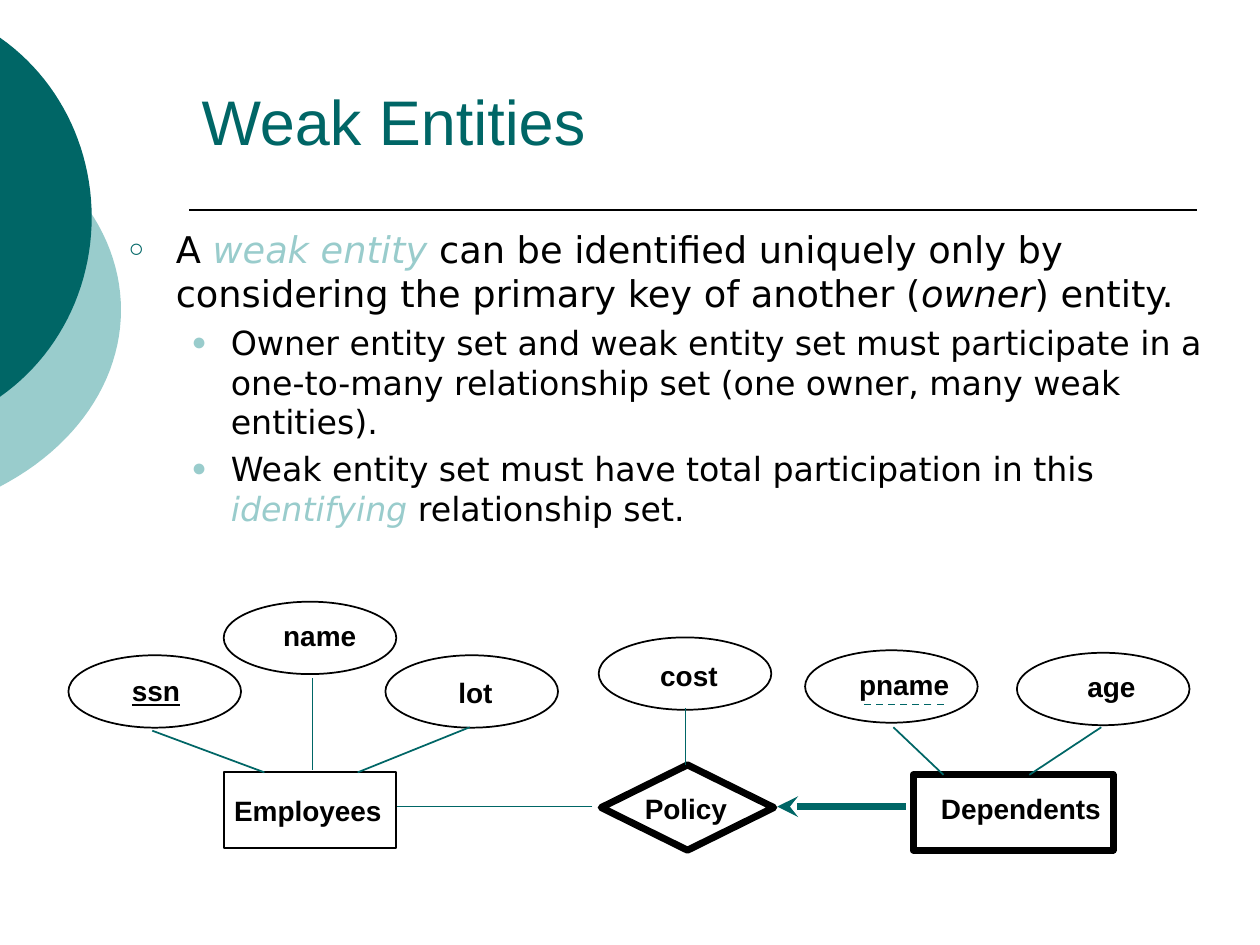
from lxml.etree import SubElement
from pptx import Presentation
from pptx.dml.color import RGBColor
from pptx.enum.dml import MSO_LINE
from pptx.enum.shapes import MSO_CONNECTOR, MSO_SHAPE
from pptx.enum.text import MSO_ANCHOR, MSO_AUTO_SIZE, PP_ALIGN
from pptx.oxml.ns import qn
from pptx.util import Cm, Pt

TEAL = RGBColor(0x00, 0x66, 0x66)
PALE = RGBColor(0x99, 0xCC, 0xCC)
BLACK = RGBColor(0x00, 0x00, 0x00)

OVAL, RECT, DIAMOND = MSO_SHAPE.OVAL, MSO_SHAPE.RECTANGLE, MSO_SHAPE.DIAMOND
OVAL_SIZE = (3.48, 1.46)

NODES = {
    "ssn": (OVAL, 0, 1.08, OVAL_SIZE, 1, 1.03, 0.25, 1.47),
    "name": (OVAL, 3.13, 0, OVAL_SIZE, 1, 0.95, 0.21, 1.98),
    "lot": (OVAL, 6.39, 1.08, OVAL_SIZE, 1, 1.22, 0.28, 1.19),
    "cost": (OVAL, 10.69, 0.72, OVAL_SIZE, 1, 0.99, 0.31, 1.65),
    "pname": (OVAL, 14.85, 0.98, OVAL_SIZE, 1, 0.84, 0.23, 2.31),
    "age": (OVAL, 19.12, 1.03, OVAL_SIZE, 1, 1.17, 0.21, 1.47),
    "Employees": (RECT, 3.13, 3.44, (3.48, 1.52), 1, -0.04, 0.31, 3.48),
    "Policy": (DIAMOND, 10.74, 3.29, (3.48, 1.72), 4, 0.63, 0.42, 2.16),
    "Dependents": (RECT, 17.03, 3.49, (4.03, 1.52), 4, 0.31, 0.22, 3.73),
}
LINKS = [
    (4.92, 1.54, 4.92, 3.39),
    (1.69, 2.6, 3.95, 3.44),
    (8.09, 2.53, 5.83, 3.44),
    (12.44, 3.29, 12.44, 2.14),
    (16.63, 2.53, 17.64, 3.49),
    (20.82, 2.53, 19.37, 3.49),
    (10.56, 4.13, 6.62, 4.13),
]
BODY = [
    (0, [("A ", None, False), ("weak entity ", PALE, True),
         ("can be identified uniquely only by considering the primary key of another (",
          None, False), ("owner", None, True), (") entity.", None, False)]),
    (1, [("Owner entity set and weak entity set must participate in a one-to-many "
          "relationship set (one owner, many weak entities).", None, False)]),
    (1, [("Weak entity set must have total participation in this ", None, False),
         ("identifying ", PALE, True), ("relationship set.", None, False)]),
]
LEVELS = [
    (21, 0.95, 0.95, "○", TEAL, 70),
    (19, 2.06, 0.79, "●", PALE, 75),
]


def set_font(r, name, size, color, bold=False, italic=False):
    f = r.font
    f.name, f.size, f.bold, f.italic = name, Pt(size), bold, italic
    f.color.rgb = color


def add_line(s, x1, y1, x2, y2, color, width=1):
    ln = s.shapes.add_connector(MSO_CONNECTOR.STRAIGHT, Cm(x1), Cm(y1), Cm(x2), Cm(y2))
    ln.line.color.rgb = color
    ln.line.width = Pt(width)
    SubElement(ln._element.spPr, qn("a:effectLst"))
    return ln


def add_arc(s, top, width, half, color):
    xs = (0, 0.63 * width, width, width)
    ys = (0, 0.225 * half, 0.6 * half, half)

    def curve(c, t):
        u = 1 - t
        return u**3 * c[0] + 3 * u * u * t * c[1] + 3 * u * t * t * c[2] + t**3 * c[3]

    upper = [(curve(xs, i / 24), curve(ys, i / 24)) for i in range(25)]
    lower = [(x, 2 * half - y) for x, y in reversed(upper[:-1])]
    pts = [(Cm(x), Cm(top + y)) for x, y in upper + lower]
    fb = s.shapes.build_freeform(*pts[0])
    fb.add_line_segments(pts[1:])
    sp = fb.convert_to_shape()
    sp.shadow.inherit = False
    sp.fill.solid()
    sp.fill.fore_color.rgb = color
    sp.line.fill.background()


def add_decor(s):
    add_arc(s, 2.69, 2.44, 3.56, PALE)
    add_arc(s, 0.76, 1.85, 3.62, TEAL)
    add_line(s, 3.81, 4.24, 24.13, 4.24, BLACK)


def place(sp, x, y, w, h, anchor):
    sp.left, sp.top, sp.width, sp.height = Cm(x), Cm(y), Cm(w), Cm(h)
    tf = sp.text_frame
    tf.auto_size = MSO_AUTO_SIZE.NONE
    tf.vertical_anchor = anchor
    return tf


def fill_title(s, x, y, w, h):
    tf = place(s.shapes.title, x, y, w, h, MSO_ANCHOR.MIDDLE)
    tf.text = "Weak Entities"
    p = tf.paragraphs[0]
    p.alignment = PP_ALIGN.LEFT
    set_font(p.runs[0], "Arial", 36, TEAL)


def set_bullet(p, margin, hang, char, color, percent):
    pPr = p._p.get_or_add_pPr()
    pPr.set("marL", str(Cm(margin)))
    pPr.set("indent", str(-Cm(hang)))
    clr = SubElement(pPr, qn("a:buClr"))
    SubElement(clr, qn("a:srgbClr"), val=str(color))
    SubElement(pPr, qn("a:buSzPct"), val=str(percent * 1000))
    SubElement(pPr, qn("a:buFont"), typeface="Arial")
    SubElement(pPr, qn("a:buChar"), char=char)


def fill_body(s, x, y, w, h):
    tf = place(s.placeholders[1], x, y, w, h, MSO_ANCHOR.TOP)
    for i, (level, runs) in enumerate(BODY):
        p = tf.add_paragraph() if i else tf.paragraphs[0]
        size, *bullet = LEVELS[level]
        p.level = level
        p.line_spacing = 1.0
        p.space_before = Pt(size * 0.2)
        set_bullet(p, *bullet)
        for text, color, italic in runs:
            r = p.add_run()
            r.text = text
            set_font(r, "DejaVu Sans", size, color or BLACK, italic=italic)


def add_label(s, text, x, y, w):
    tb = s.shapes.add_textbox(Cm(x), Cm(y), Cm(w), Cm(0.91))
    tf = tb.text_frame
    tf.word_wrap = True
    tf.margin_right = 0
    tf.text = text
    r = tf.paragraphs[0].runs[0]
    set_font(r, "Arial", 16, BLACK, bold=True)
    if text == "ssn":
        r.font.underline = True


def add_diagram(s, x, y):
    for kind, left, top, (w, h), width, *_ in NODES.values():
        sp = s.shapes.add_shape(kind, Cm(x + left), Cm(y + top), Cm(w), Cm(h))
        sp.shadow.inherit = False
        sp.fill.background()
        sp.line.color.rgb = BLACK
        sp.line.width = Pt(width)
        SubElement(sp.line._get_or_add_ln(), qn("a:round"))
    for text, (_, left, top, _, _, dx, dy, w) in NODES.items():
        add_label(s, text, x + left + dx, y + top + dy, w)
    for x1, y1, x2, y2 in LINKS:
        add_line(s, x + x1, y + y1, x + x2, y + y2, TEAL)
    partial_key = add_line(s, x + 17.64, y + 2.07, x + 15.94, y + 2.07, TEAL)
    partial_key.line.dash_style = MSO_LINE.DASH
    arrow = add_line(s, x + 14.29, y + 4.13, x + 16.88, y + 4.13, TEAL, 4)
    SubElement(arrow.line._get_or_add_ln(), qn("a:headEnd"), type="stealth")


def main():
    prs = Presentation()
    prs.slide_width, prs.slide_height = Cm(25.4), Cm(19.05)
    s = prs.slides.add_slide(prs.slide_layouts[1])
    add_decor(s)
    fill_title(s, 3.81, 0.84, 20.32, 3.18)
    fill_body(s, 2.34, 4.45, 22.86, 6.35)
    add_diagram(s, 1.38, 12.13)
    prs.save("out.pptx")


if __name__ == "__main__":
    main()
